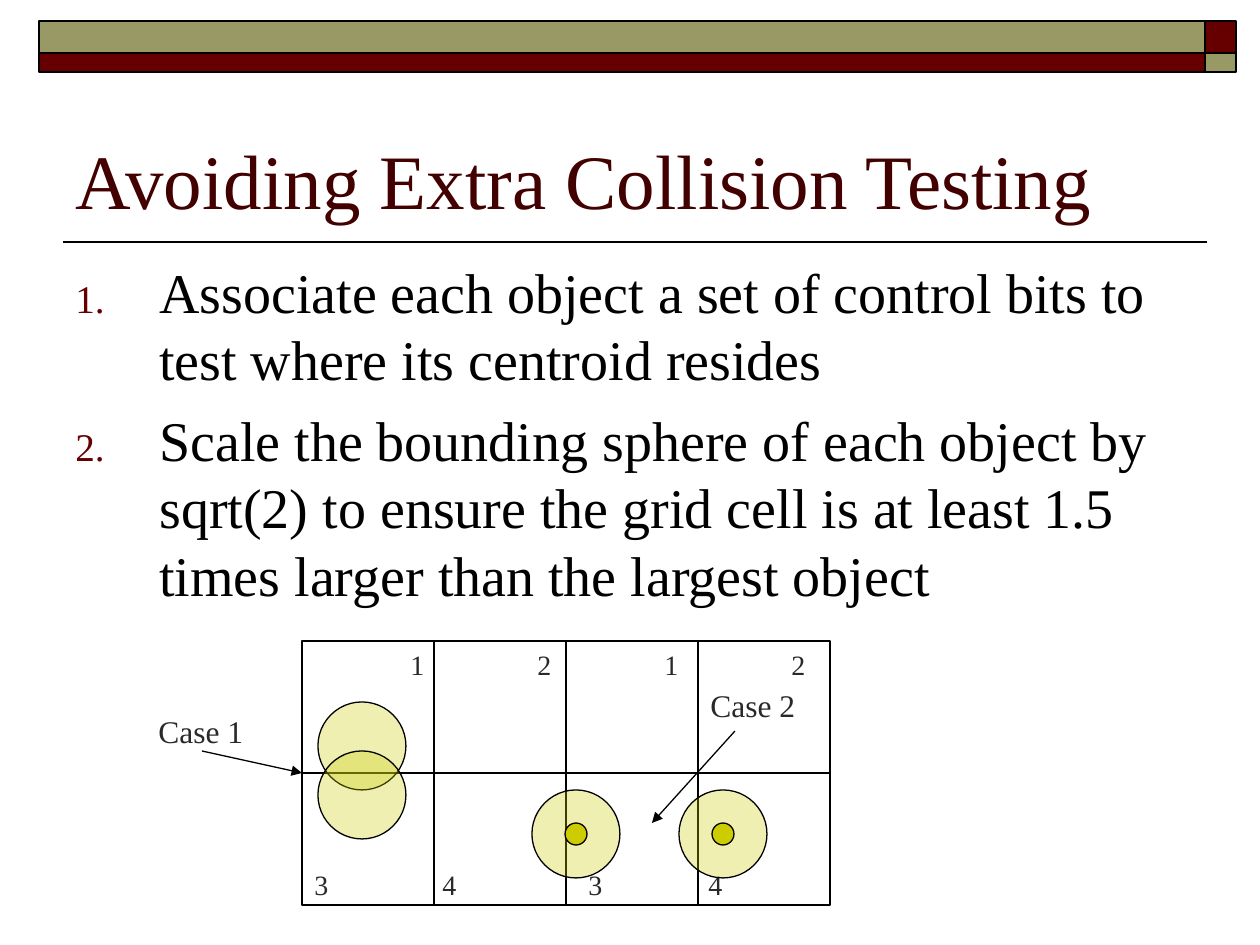
from pptx import Presentation
from pptx.dml.color import RGBColor
from pptx.enum.shapes import MSO_CONNECTOR, MSO_SHAPE
from pptx.enum.text import MSO_ANCHOR, MSO_AUTO_SIZE, PP_ALIGN
from pptx.oxml.ns import qn
from pptx.util import Pt
from lxml import etree

RECT, OVAL = MSO_SHAPE.RECTANGLE, MSO_SHAPE.OVAL
STRAIGHT = MSO_CONNECTOR.STRAIGHT
LEFT = PP_ALIGN.LEFT
TOP, BOTTOM = MSO_ANCHOR.TOP, MSO_ANCHOR.BOTTOM
FIXED, GROW = MSO_AUTO_SIZE.NONE, MSO_AUTO_SIZE.SHAPE_TO_FIT_TEXT
MAROON, OLIVE, YELLOW = "660000", "999966", "CCCC00"
BLACK, GREY, TITLE = "000000", "292929", "420000"


def emu(px):
    return round(px * 914400 / 126)


def rgb(color):
    return RGBColor.from_string(color)


class Deck:
    """Style and current slide, with one method per kind of element."""

    font = "Times New Roman"

    def __init__(self):
        self.prs = Presentation()
        self.prs.slide_width, self.prs.slide_height = emu(1260), emu(945)
        self.s = self.prs.slides.add_slide(self.prs.slide_layouts[5])

    def run(self, p, text, size, color):
        p.alignment = LEFT
        r = p.add_run()
        r.text = text
        r.font.name, r.font.size = self.font, Pt(size)
        r.font.color.rgb = rgb(color)

    def title(self, x, y, w, h, text):
        sp = self.s.shapes.title
        sp.left, sp.top, sp.width, sp.height = map(emu, (x, y, w, h))
        tf = sp.text_frame
        tf.auto_size, tf.word_wrap, tf.vertical_anchor = FIXED, True, BOTTOM
        self.run(tf.paragraphs[0], text, 44, TITLE)

    def numbered(self, x, y, w, h, items):
        tf = self.s.shapes.add_textbox(*map(emu, (x, y, w, h))).text_frame
        tf.word_wrap, tf.vertical_anchor = True, TOP
        for i, item in enumerate(items):
            p = tf.add_paragraph() if i else tf.paragraphs[0]
            pPr = p._p.get_or_add_pPr()
            pPr.set("marL", str(emu(84)))
            pPr.set("indent", str(-emu(84)))
            color = etree.SubElement(pPr, qn("a:buClr"))
            etree.SubElement(color, qn("a:srgbClr"), val=MAROON)
            etree.SubElement(pPr, qn("a:buSzPct"), val="70000")
            etree.SubElement(pPr, qn("a:buFont"), typeface=self.font)
            etree.SubElement(pPr, qn("a:buAutoNum"), type="arabicPeriod")
            if i:
                p.space_before = Pt(8)
            self.run(p, item, 32, BLACK)

    def label(self, x, y, w, h, text, size):
        tf = self.s.shapes.add_textbox(*map(emu, (x, y, w, h))).text_frame
        tf.word_wrap, tf.auto_size = False, GROW
        self.run(tf.paragraphs[0], text, size, GREY)

    def shape(self, kind, x, y, w, h, fill=None, alpha=None, weight=0.75):
        sp = self.s.shapes.add_shape(kind, *map(emu, (x, y, w, h)))
        sp.shadow.inherit = False
        if fill:
            sp.fill.solid()
            sp.fill.fore_color.rgb = rgb(fill)
        else:
            sp.fill.background()
        if alpha:
            color = sp._element.spPr.find(qn("a:solidFill"))[0]
            etree.SubElement(color, qn("a:alpha"), val=str(alpha * 1000))
        sp.line.color.rgb, sp.line.width = rgb(BLACK), Pt(weight)

    def sphere(self, x, y):
        self.shape(OVAL, x, y, 88, 88, YELLOW, alpha=30)

    def line(self, x1, y1, x2, y2, weight=0.75, arrow=False):
        c = self.s.shapes.add_connector(STRAIGHT, *map(emu, (x1, y1, x2, y2)))
        c.line.color.rgb, c.line.width = rgb(BLACK), Pt(weight)
        if arrow:
            etree.SubElement(c.line._get_or_add_ln(), qn("a:tailEnd"), type="triangle")
        etree.SubElement(c._element.spPr, qn("a:effectLst"))


def main():
    d = Deck()
    d.line(1207, 242, 63, 242, weight=1)
    for y, h, wide, corner in ((21, 32, OLIVE, MAROON), (53, 19, MAROON, OLIVE)):
        d.shape(RECT, 39, y, 1166, h, wide, weight=1)
        d.shape(RECT, 1205, y, 31, h, corner, weight=1)

    d.title(63, 73, 1134, 158, "Avoiding Extra Collision Testing")
    d.numbered(63, 251, 1134, 365, (
        "Associate each object a set of control bits to test where its centroid resides",
        "Scale the bounding sphere of each object by sqrt(2) to ensure the grid cell "
        "is at least 1.5 times larger than the largest object",
    ))

    left, top, cell = 302, 641, 132
    for row in range(2):
        for col in range(4):
            d.shape(RECT, left + col * cell, top + row * cell, cell, cell)
    for i, text in enumerate("1212"):
        d.label(398 + 127 * i, top, 39, 47, text, 16)
    for x, text in zip((302, 430, 576, 696), "3434"):
        d.label(x, 861, 39, 47, text, 16)

    for y in (702, 751):
        d.sphere(318, y)
    d.line(202, 751, 302, 773, arrow=True)
    d.label(146, 706, 110, 50, "Case 1", 18)

    for x in (532, 679):
        d.sphere(x, 790)
        d.shape(OVAL, x + 33, 823, 22, 22, YELLOW)
    d.line(735, 731, 652, 823, arrow=True)
    d.label(698, 680, 110, 50, "Case 2", 18)

    d.prs.save("out.pptx")


if __name__ == "__main__":
    main()
